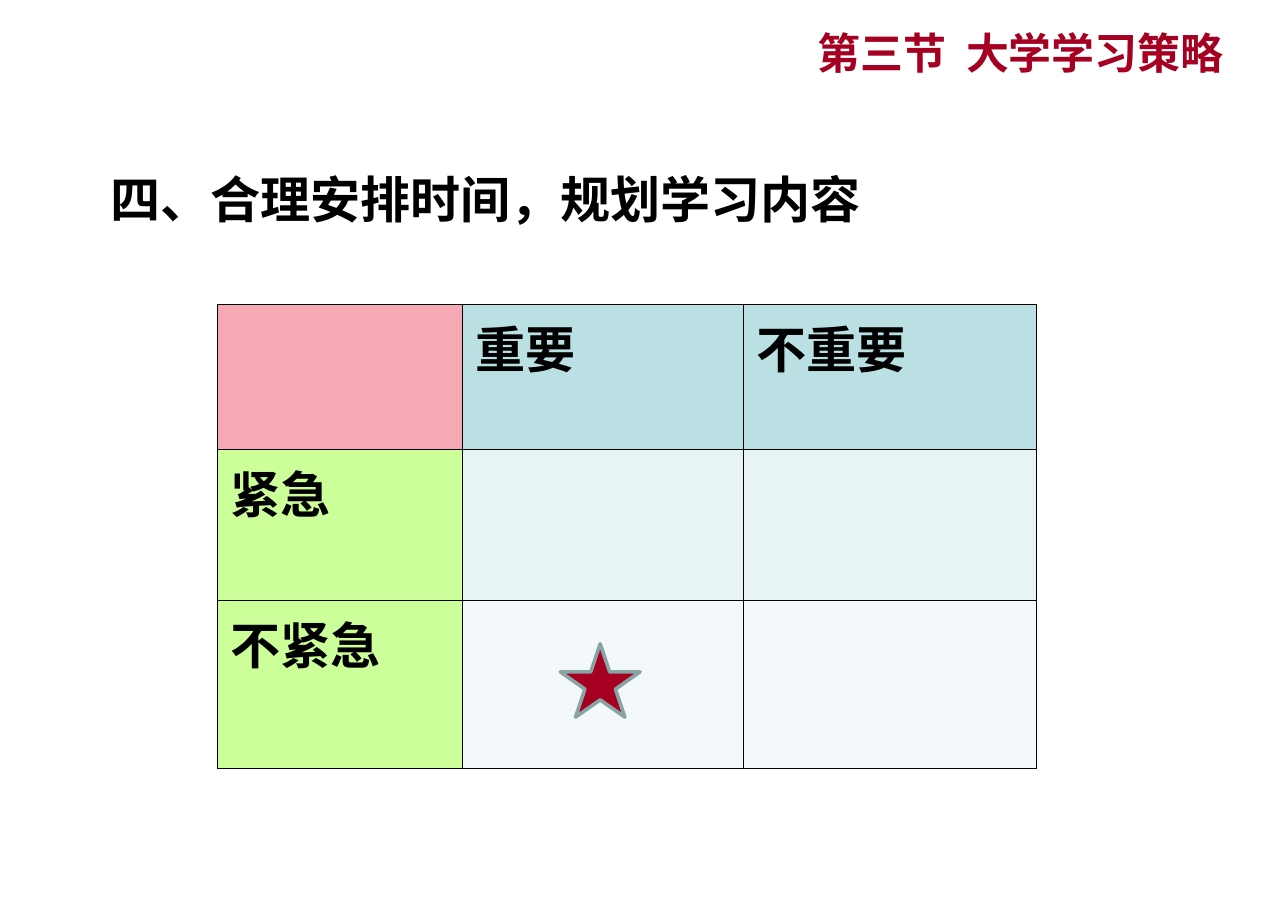
from dataclasses import dataclass

from lxml import etree
from pptx import Presentation
from pptx import util as u
from pptx.dml.color import RGBColor
from pptx.enum import shapes, text
from pptx.oxml.ns import qn


@dataclass(frozen=True)
class Theme:
    """Colours, fonts and type sizes of the slide."""
    ink: str = "000000"
    accent: str = "A50021"
    star_edge: str = "89A4A7"
    corner: str = "F6A8B5"
    column_head: str = "BBE0E3"
    row_head: str = "CCFF99"
    body_rows: tuple = ("E7F3F4", "F3F9FA")
    latin: str = "Arial"
    chinese: str = "Noto Sans CJK SC"
    heading: int = 28
    section: int = 24
    border: float = 0.45
    star_line: int = 2


THEME = Theme()


def add_run(paragraph, words, size, color, latin, spacing=0):
    """Append a bold run, with optional letter spacing in points."""
    run = paragraph.add_run()
    run.text = words
    run.font.size = u.Pt(size)
    run.font.bold = True
    run.font.name = latin
    run.font.color.rgb = RGBColor.from_string(color)
    properties = run.font._element
    etree.SubElement(properties, qn("a:ea")).set("typeface", THEME.chinese)
    if spacing:
        properties.set("spc", str(round(spacing * 100)))


def add_text_box(slide, box, right_inset=0.1):
    """Add a wrapped, vertically centred text box and return its paragraph."""
    frame = slide.shapes.add_textbox(*map(u.Inches, box)).text_frame
    frame.word_wrap = True
    frame.vertical_anchor = text.MSO_ANCHOR.MIDDLE
    frame.margin_right = u.Inches(right_inset)
    return frame.paragraphs[0]


def add_section_label(slide, box):
    """Place the right-aligned section name."""
    paragraph = add_text_box(slide, box, right_inset=0.17)
    paragraph.alignment = text.PP_ALIGN.RIGHT
    for words, spacing in (("第三节", 0), (" ", 5.4), ("大学学习策略", 0)):
        add_run(paragraph, words, THEME.section, THEME.accent, THEME.chinese, spacing)


def add_heading(slide, box):
    """Place the slide heading."""
    add_run(add_text_box(slide, box), "四、合理安排时间，规划学习内容",
            THEME.heading, THEME.ink, THEME.latin)


def set_borders(cell):
    """Draw a thin line on all four sides of a cell."""
    properties = cell._tc.get_or_add_tcPr()
    for index, side in enumerate(("lnL", "lnR", "lnT", "lnB")):
        line = etree.Element(qn(f"a:{side}"), w=str(u.Pt(THEME.border)))
        fill = etree.SubElement(line, qn("a:solidFill"))
        etree.SubElement(fill, qn("a:srgbClr"), val=THEME.ink)
        properties.insert(index, line)


def cell_color(row, column):
    """Return the fill for a position in the matrix."""
    if row == 0:
        return THEME.column_head if column else THEME.corner
    return THEME.body_rows[row - 1] if column else THEME.row_head


def add_priority_matrix(slide, box):
    """Place the urgency and importance table."""
    labels = (("", "重要", "不重要"), ("紧急", "", ""), ("不紧急", "", ""))
    table = slide.shapes.add_table(3, 3, *map(u.Inches, box)).table
    for column, width in zip(table.columns, (1.9, 2.18, 2.28)):
        column.width = u.Inches(width)
    for row, height in zip(table.rows, (1.13, 1.17, 1.31)):
        row.height = u.Inches(height)
    for row, words_in_row in enumerate(labels):
        for column, words in enumerate(words_in_row):
            cell = table.cell(row, column)
            cell.fill.solid()
            cell.fill.fore_color.rgb = RGBColor.from_string(cell_color(row, column))
            set_borders(cell)
            if words:
                add_run(cell.text_frame.paragraphs[0], words,
                        THEME.heading, THEME.ink, THEME.latin)


def add_star(slide, box):
    """Place the star that marks the key quadrant."""
    star = slide.shapes.add_shape(shapes.MSO_SHAPE.STAR_5_POINT, *map(u.Inches, box))
    star.shadow.inherit = False
    star.fill.solid()
    star.fill.fore_color.rgb = RGBColor.from_string(THEME.accent)
    star.line.color.rgb = RGBColor.from_string(THEME.star_edge)
    star.line.width = u.Pt(THEME.star_line)
    etree.SubElement(star.line._ln, qn("a:round"))


def main():
    """Build and save the slide."""
    presentation = Presentation()
    presentation.slide_width = u.Inches(10)
    presentation.slide_height = u.Inches(7.09)
    slide = presentation.slides.add_slide(presentation.slide_layouts[6])
    add_heading(slide, (0.76, 1.26, 9.18, 0.57))
    add_priority_matrix(slide, (1.69, 2.36, 6.36, 3.61))
    add_section_label(slide, (2.94, 0.14, 6.73, 0.53))
    add_star(slide, (4.35, 5, 0.62, 0.57))
    presentation.save("out.pptx")


if __name__ == "__main__":
    main()
